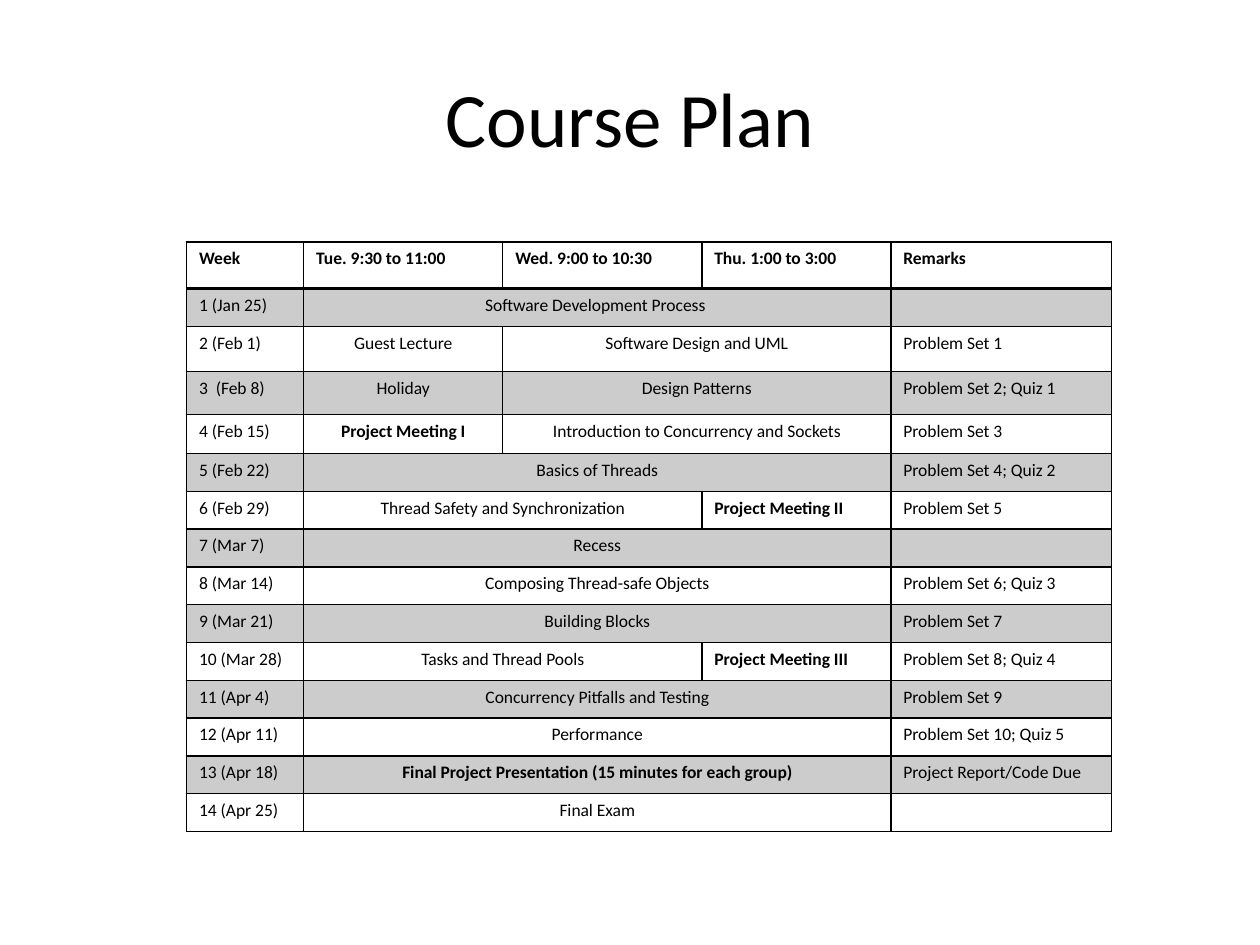
"""Build the course plan slide with its weekly schedule table."""
import dataclasses

import lxml.etree
import pptx
import pptx.dml.color
import pptx.enum.text
import pptx.oxml.ns
import pptx.slide
import pptx.table
import pptx.text.text
import pptx.util

Inches = pptx.util.Inches
Pt = pptx.util.Pt
Alignment = pptx.enum.text.PP_ALIGN


@dataclasses.dataclass(frozen=True)
class Theme:
    font: str = "Calibri"
    ink: str = "000000"
    shade_percent: int = 20
    title_size: int = 44
    table_size: int = 10
    line_width: int = 1
    header_line_width: int = 2


@dataclasses.dataclass(frozen=True)
class Entry:
    text: str
    span: int = 1
    bold: bool = False
    centered: bool = True


@dataclasses.dataclass(frozen=True)
class Week:
    label: str
    sessions: tuple[Entry, ...]
    remarks: str = ""
    height: float = 0.3


THEME = Theme()
COLUMN_WIDTHS = (0.93, 1.58, 1.58, 1.5, 1.75)
HEADER_HEIGHT = 0.37
HEADINGS = ("Week", "Tue. 9:30 to 11:00", "Wed. 9:00 to 10:30", "Thu. 1:00 to 3:00", "Remarks")
WEEKS = (
    Week("1 (Jan 25)", (Entry("Software Development Process ", 3),)),
    Week("2 (Feb 1)", (Entry("Guest Lecture"), Entry("Software Design and UML", 2)), "Problem Set 1", 0.36),
    Week("3  (Feb 8)", (Entry("Holiday"), Entry("Design Patterns", 2)), "Problem Set 2; Quiz 1", 0.34),
    Week("4 (Feb 15)", (Entry("Project Meeting I", bold=True),
                        Entry("Introduction to Concurrency and Sockets", 2)), "Problem Set 3", 0.31),
    Week("5 (Feb 22)", (Entry("Basics of Threads", 3),), "Problem Set 4; Quiz 2"),
    Week("6 (Feb 29)", (Entry("Thread Safety and Synchronization", 2),
                        Entry("Project Meeting II", bold=True, centered=False)), "Problem Set 5"),
    Week("7 (Mar 7)", (Entry("Recess", 3),)),
    Week("8 (Mar 14)", (Entry("Composing Thread-safe Objects", 3),), "Problem Set 6; Quiz 3"),
    Week("9 (Mar 21)", (Entry("Building Blocks", 3),), "Problem Set 7"),
    Week("10 (Mar 28)", (Entry("Tasks and Thread Pools", 2),
                         Entry("Project Meeting III", bold=True, centered=False)), "Problem Set 8; Quiz 4"),
    Week("11 (Apr 4)", (Entry("Concurrency Pitfalls and Testing", 3),), "Problem Set 9"),
    Week("12 (Apr 11)", (Entry("Performance", 3),), "Problem Set 10; Quiz 5"),
    Week("13 (Apr 18)", (Entry("Final Project Presentation (15 minutes for each group)", 3, bold=True),),
         "Project Report/Code Due"),
    Week("14 (Apr 25)", (Entry("Final Exam", 3),)),
)


def add_element(parent: lxml.etree._Element, tag: str, **attributes: str) -> lxml.etree._Element:
    return lxml.etree.SubElement(parent, pptx.oxml.ns.qn(tag), attributes)


def write_text(paragraph: pptx.text.text._Paragraph, entry: Entry, size: int) -> None:
    paragraph.text = entry.text
    paragraph.alignment = Alignment.CENTER if entry.centered else Alignment.LEFT
    for run in paragraph.runs:
        run.font.name = THEME.font
        run.font.size = Pt(size)
        run.font.bold = entry.bold
        run.font.color.rgb = pptx.dml.color.RGBColor.from_string(THEME.ink)
    if not entry.text:
        add_element(paragraph._p, "a:endParaRPr", sz=str(size * 100))


def style_cell(cell: pptx.table._Cell, row: int) -> None:
    properties = cell._tc.get_or_add_tcPr()
    for side in "LRTB":
        under_header = (row, side) in ((0, "B"), (1, "T"))
        width = THEME.header_line_width if under_header else THEME.line_width
        line = add_element(properties, f"a:ln{side}", w=str(Pt(width)))
        add_element(add_element(line, "a:solidFill"), "a:srgbClr", val=THEME.ink)
    if row % 2:
        cell.fill.solid()
        cell.fill.fore_color.rgb = pptx.dml.color.RGBColor.from_string(THEME.ink)
        color = properties.find(pptx.oxml.ns.qn("a:solidFill"))[0]
        add_element(color, "a:alpha", val=str(THEME.shade_percent * 1000))
    else:
        cell.fill.background()


def fill_row(table: pptx.table.Table, row: int, entries: tuple[Entry, ...]) -> None:
    column = 0
    for entry in entries:
        last = column + entry.span - 1
        for position in range(column, last + 1):
            cell = table.cell(row, position)
            style_cell(cell, row)
            content = entry if position == column else Entry("")
            write_text(cell.text_frame.paragraphs[0], content, THEME.table_size)
        if entry.span > 1:
            table.cell(row, column).merge(table.cell(row, last))
        column = last + 1


def add_title(slide: pptx.slide.Slide, text: str) -> None:
    shape = slide.shapes.add_textbox(Inches(0.5), Inches(0.3), Inches(9), Inches(1.25))
    shape.text_frame.word_wrap = True
    shape.text_frame.vertical_anchor = pptx.enum.text.MSO_ANCHOR.MIDDLE
    write_text(shape.text_frame.paragraphs[0], Entry(text), THEME.title_size)


def add_schedule(slide: pptx.slide.Slide) -> None:
    heights = (HEADER_HEIGHT, *(week.height for week in WEEKS))
    table = slide.shapes.add_table(
        len(heights), len(COLUMN_WIDTHS), Inches(1.48), Inches(1.92),
        Inches(sum(COLUMN_WIDTHS)), Inches(sum(heights))).table
    table.first_row = False
    table.horz_banding = False
    for column, width in zip(table.columns, COLUMN_WIDTHS):
        column.width = Inches(width)
    for row, height in zip(table.rows, heights):
        row.height = Inches(height)
    fill_row(table, 0, tuple(Entry(text, bold=True, centered=False) for text in HEADINGS))
    for row, week in enumerate(WEEKS, start=1):
        label = Entry(week.label, centered=False)
        remarks = Entry(week.remarks, centered=False)
        fill_row(table, row, (label, *week.sessions, remarks))


def main() -> None:
    presentation = pptx.Presentation()
    presentation.slide_width = Inches(10)
    presentation.slide_height = Inches(7.5)
    slide = presentation.slides.add_slide(presentation.slide_layouts[6])
    add_title(slide, "Course Plan")
    add_schedule(slide)
    presentation.save("out.pptx")


if __name__ == "__main__":
    main()
